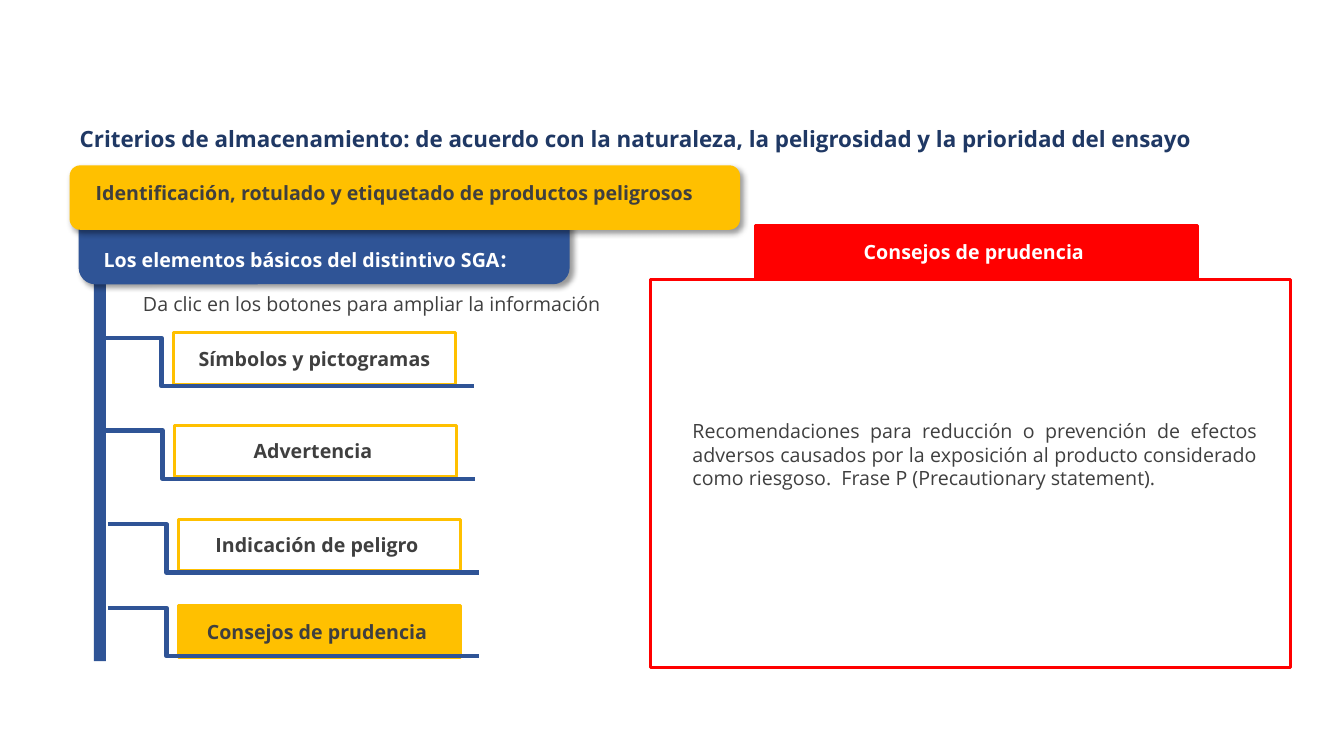
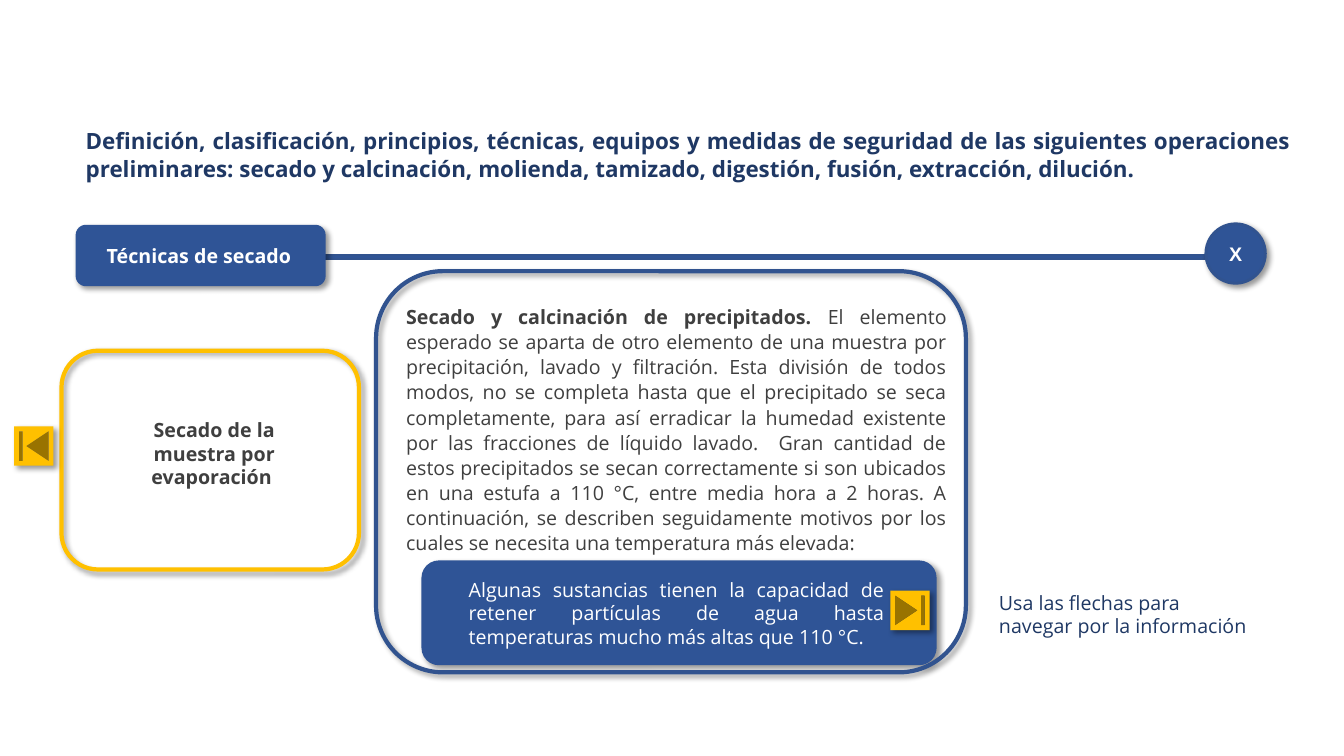
import pptx
import pptx.dml.color
import pptx.enum.shapes
import pptx.enum.text
import pptx.oxml
import pptx.oxml.ns
import pptx.util
from lxml import etree

Inches, Pt = pptx.util.Inches, pptx.util.Pt
SHAPE = pptx.enum.shapes.MSO_SHAPE
ALIGN = pptx.enum.text.PP_ALIGN
ANCHOR = pptx.enum.text.MSO_ANCHOR
qn = pptx.oxml.ns.qn

BLUE, DARK_BLUE, NAVY = "2F5496", "31538F", "1F3864"
YELLOW, RED, GRAY, WHITE = "FFC000", "FF0000", "3F3F3F", "FFFFFF"
FONT = "Open Sans"
TITLE_ONLY = 5

# Label, left, top, top of its elbow line, fill
BUTTONS = [
    ("Símbolos y pictogramas", 1.72, 3.30, 3.35, None),
    ("Advertencia ", 1.73, 4.22, 4.27, None),
    ("Indicación de peligro ", 1.77, 5.15, 5.20, None),
    ("Consejos de prudencia ", 1.77, 6.01, 6.03, YELLOW),
]
BUTTON_SIZE = (2.8, 0.51)
ELBOW_SIZE = (3.68, 0.48)
ELBOW_OFFSET = 0.7
ELBOW_BEND = 0.158

STORAGE_TITLE = ("Criterios de almacenamiento: de acuerdo con la naturaleza, "
                 "la peligrosidad y la prioridad del ensayo")
PRUDENCE_TEXT = ("Recomendaciones para reducción o prevención de efectos adversos "
                 "causados por la exposición al producto considerado como riesgoso.  "
                 "Frase P (Precautionary statement). ")
DRYING_TITLE = ("Definición, clasificación, principios, técnicas, equipos y medidas de "
                "seguridad de las siguientes operaciones preliminares: secado y "
                "calcinación, molienda, tamizado, digestión, fusión, extracción, dilución.")
DRYING_TEXT = [
    ("Secado y calcinación de precipitados.", {"bold": True}),
    (" El elemento esperado se aparta de otro elemento de una muestra por "
     "precipitación, lavado y filtración. Esta división de todos modos, no se completa "
     "hasta que el precipitado se seca completamente, para así erradicar la humedad "
     "existente por las fracciones de líquido lavado.  Gran cantidad de estos "
     "precipitados se secan correctamente si son ubicados en una estufa a 110 °C, entre "
     "media hora a 2 horas. A continuación, se describen seguidamente motivos por los "
     "cuales se necesita una temperatura más elevada:  ", {}),
]
WATER_TEXT = ("Algunas sustancias tienen la capacidad de retener partículas de agua hasta "
              "temperaturas mucho más altas que 110 °C.")


def rgb(color):
    return pptx.dml.color.RGBColor.from_string(color)


def write_text(shape, text, size=14, font=FONT, color=GRAY, bold=False,
               align=ALIGN.LEFT, anchor=ANCHOR.TOP, spacing=None):
    """Fill a shape with one paragraph: a string, or (string, overrides) runs."""
    frame = shape.text_frame
    frame.word_wrap = True
    frame.auto_size = pptx.enum.text.MSO_AUTO_SIZE.NONE
    frame.vertical_anchor = anchor
    paragraph = frame.paragraphs[0]
    paragraph.alignment = align
    if spacing:
        paragraph.line_spacing = spacing
    for words, overrides in [(text, {})] if isinstance(text, str) else text:
        style = {"size": size, "font": font, "bold": bold, **overrides}
        run = paragraph.add_run()
        run.text = words
        run.font.size = Pt(style["size"])
        run.font.name = style["font"]
        run.font.bold = style["bold"]
        run.font.color.rgb = rgb(color)


def add_text(slide, box, text, **style):
    textbox = slide.shapes.add_textbox(*map(Inches, box))
    write_text(textbox, text, **style)


def add_shape(slide, kind, box, fill=None, line=None, width=2, shadow=False):
    shape = slide.shapes.add_shape(kind, *map(Inches, box))
    if fill:
        shape.fill.solid()
        shape.fill.fore_color.rgb = rgb(fill)
    else:
        shape.fill.background()
    if line:
        shape.line.color.rgb = rgb(line)
        shape.line.width = Pt(width)
    else:
        shape.line.fill.background()
    shape.shadow.inherit = False
    if shadow:
        effects = shape._element.spPr.find(qn("a:effectLst"))
        outer = etree.SubElement(effects, qn("a:outerShdw"), blurRad=str(Pt(4)),
                                 dist=str(Pt(3)), dir=str(45 * 60000),
                                 algn="tl", rotWithShape="0")
        black = etree.SubElement(outer, qn("a:srgbClr"), val="000000")
        etree.SubElement(black, qn("a:alpha"), val="40000")
    return shape


def add_elbow(slide, left, top):
    width, height = ELBOW_SIZE
    connector = slide.shapes.add_connector(
        pptx.enum.shapes.MSO_CONNECTOR.ELBOW,
        *map(Inches, (left, top, left + width, top + height)))
    connector.line.color.rgb = rgb(BLUE)
    connector.line.width = Pt(3)
    properties = connector._element.spPr
    adjustments = properties.find(qn("a:prstGeom")).find(qn("a:avLst"))
    etree.SubElement(adjustments, qn("a:gd"), name="adj1",
                     fmla=f"val {round(ELBOW_BEND * 100000)}")
    etree.SubElement(properties, qn("a:effectLst"))


def add_titled_slide(presentation, title, box, **style):
    slide = presentation.slides.add_slide(presentation.slide_layouts[TITLE_ONLY])
    shape = slide.shapes.title
    shape.left, shape.top, shape.width, shape.height = map(Inches, box)
    write_text(shape, title, size=16, color=NAVY, bold=True, **style)
    return slide


def build_labelling_slide(presentation):
    slide = add_titled_slide(presentation, STORAGE_TITLE, (0.69, 1.19, 12.15, 0.45))
    centred = {"bold": True, "align": ALIGN.CENTER, "anchor": ANCHOR.MIDDLE}

    add_shape(slide, SHAPE.RECTANGLE, (6.45, 2.77, 6.35, 3.85), line=RED, width=2.25)
    for label, left, top, _, fill in BUTTONS:
        button = add_shape(slide, SHAPE.RECTANGLE, (left, top, *BUTTON_SIZE), fill, YELLOW)
        write_text(button, label, **centred)

    add_shape(slide, SHAPE.RECTANGLE, (0.93, 2.67, 0.12, 3.89), BLUE)
    add_shape(slide, SHAPE.ROUNDED_RECTANGLE, (0.78, 1.83, 4.87, 0.99), BLUE, shadow=True)
    add_shape(slide, SHAPE.ROUNDED_RECTANGLE, (0.69, 1.64, 6.65, 0.64), YELLOW, shadow=True)
    add_text(slide, (0.85, 1.73, 8.41, 0.34),
             "Identificación, rotulado y etiquetado de productos peligrosos",
             bold=True, align=ALIGN.JUSTIFY, spacing=1.07)
    add_text(slide, (0.93, 2.35, 4.56, 0.64),
             [("Los elementos básicos del distintivo SGA", {}),
              (": ", {"size": 18, "font": "Calibri"})],
             color=WHITE, bold=True, align=ALIGN.JUSTIFY)
    for _, left, _, elbow_top, _ in BUTTONS:
        add_elbow(slide, left - ELBOW_OFFSET, elbow_top)

    add_text(slide, (1.32, 2.85, 4.83, 0.34),
             "Da clic en los botones para ampliar la información")
    add_text(slide, (6.77, 4.11, 5.8, 0.81), PRUDENCE_TEXT, align=ALIGN.JUSTIFY)
    heading = add_shape(slide, SHAPE.RECTANGLE, (7.49, 2.24, 4.39, 0.52), RED, RED)
    write_text(heading, "Consejos de prudencia ", color=WHITE, **centred)


def build_drying_slide(presentation):
    slide = add_titled_slide(presentation, DRYING_TITLE, (0.75, 1.19, 12.15, 0.8),
                             align=ALIGN.JUSTIFY, spacing=1.07)

    add_shape(slide, SHAPE.ROUNDED_RECTANGLE, (4.18, 5.56, 5.11, 1.04), BLUE, shadow=True)
    add_shape(slide, SHAPE.RECTANGLE, (2.63, 2.53, 9.33, 0.04), BLUE, DARK_BLUE)
    add_shape(slide, SHAPE.ROUNDED_RECTANGLE, (0.75, 2.23, 2.48, 0.61), BLUE, shadow=True)
    add_text(slide, (0.96, 2.35, 2.22, 0.34), "Técnicas de secado",
             color=WHITE, bold=True, align=ALIGN.JUSTIFY, spacing=1.07)
    close = add_shape(slide, SHAPE.OVAL, (11.96, 2.22, 0.59, 0.59), BLUE, DARK_BLUE,
                      shadow=True)
    write_text(close, "X", font="Arial", color=WHITE, bold=True,
               align=ALIGN.CENTER, anchor=ANCHOR.MIDDLE)

    add_shape(slide, SHAPE.ROUNDED_RECTANGLE, (3.73, 2.69, 5.85, 3.98),
              line=DARK_BLUE, width=3, shadow=True)
    add_text(slide, (3.93, 2.96, 5.56, 2.97), DRYING_TEXT,
             align=ALIGN.JUSTIFY, spacing=1.07)
    add_text(slide, (9.81, 5.81, 2.74, 0.57),
             "Usa las flechas para navegar por la información", color=NAVY)
    add_shape(slide, SHAPE.ROUNDED_RECTANGLE, (0.61, 3.48, 2.95, 2.17),
              line=YELLOW, width=3, shadow=True)
    add_text(slide, (1, 4.1, 2.25, 0.81), "Secado de la muestra por evaporación ",
             bold=True, align=ALIGN.CENTER)
    add_text(slide, (4.55, 5.68, 4.32, 0.81), WATER_TEXT,
             color=WHITE, align=ALIGN.JUSTIFY)
    for kind, left, top in [(SHAPE.ACTION_BUTTON_BEGINNING, 0.14, 4.23),
                            (SHAPE.ACTION_BUTTON_END, 8.83, 5.86)]:
        add_shape(slide, kind, (left, top, 0.39, 0.39), YELLOW, shadow=True)


def main():
    presentation = pptx.Presentation()
    presentation.slide_width = Inches(13.33)
    presentation.slide_height = Inches(7.5)
    build_labelling_slide(presentation)
    build_drying_slide(presentation)
    presentation.save("out.pptx")


if __name__ == "__main__":
    main()
